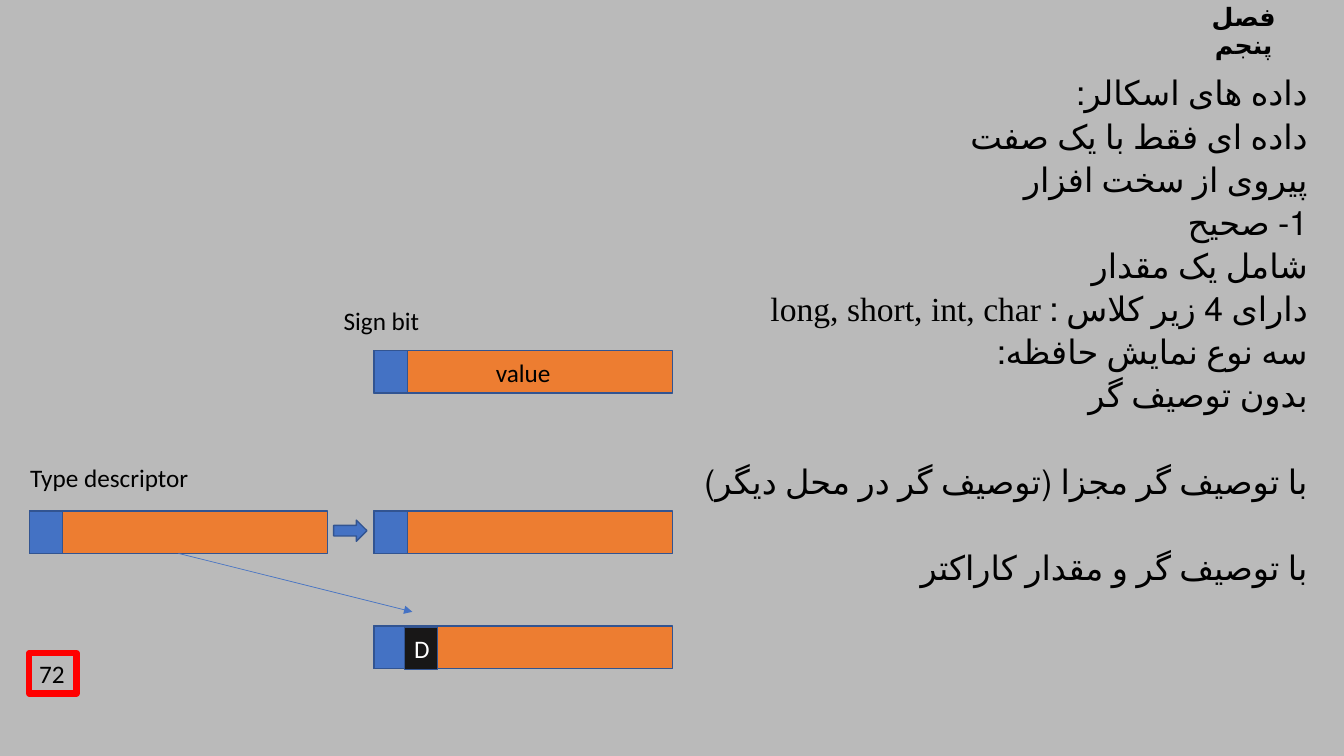
from pptx import Presentation
from pptx.dml.color import RGBColor
from pptx.enum.lang import MSO_LANGUAGE_ID as LANG
from pptx.enum.shapes import MSO_CONNECTOR, MSO_SHAPE
from pptx.enum.text import MSO_ANCHOR, PP_ALIGN
from pptx.oxml.xmlchemy import OxmlElement
from pptx.util import Inches, Pt

COLORS = {
    "background": "BABABA", "black": "000000", "white": "FFFFFF", "red": "FF0000",
    "orange": "ED7D31", "blue": "4472C4", "outline": "325491", "dark": "181717",
}
LINES = [
    "داده های اسکالر:",
    "داده ای فقط با یک صفت",
    "پیروی از سخت افزار",
    "1- صحیح",
    "شامل یک مقدار",
    "دارای 4 زیر کلاس : long, short, int, char",
    "سه نوع نمایش حافظه:",
    "بدون توصیف گر",
    "با توصیف گر مجزا (توصیف گر در محل دیگر)",
    "با توصیف گر و مقدار کاراکتر",
]
SPACED_FROM = 8  # the last lines stand one blank line apart
CELL_W, CELL_H, SIGN_W = 2.96, 0.42, 0.33


def rgb(name):
    return RGBColor.from_string(COLORS[name])


def style(p, size=18, color="black", font="Calibri", bold=False,
          align=PP_ALIGN.LEFT, lang=LANG.ENGLISH_US):
    p.alignment = align
    for r in p.runs:
        r.font.size = Pt(size)
        r.font.name = font
        r.font.bold = bold
        r.font.color.rgb = rgb(color)
        r.font.language_id = lang


def add_label(s, text, x, y, w, h):
    tb = s.shapes.add_textbox(Inches(x), Inches(y), Inches(w), Inches(h))
    tf = tb.text_frame
    tf.word_wrap = True
    tf.text = text
    style(tf.paragraphs[0])
    return tb


def add_box(s, x, y, w, h, fill, text="", color="black", kind=MSO_SHAPE.RECTANGLE):
    sp = s.shapes.add_shape(kind, Inches(x), Inches(y), Inches(w), Inches(h))
    sp.shadow.inherit = False
    sp.fill.solid()
    sp.fill.fore_color.rgb = rgb(fill)
    sp.line.color.rgb = rgb("outline")
    sp.line.width = Pt(1)
    if text:
        tf = sp.text_frame
        tf.text = text
        tf.vertical_anchor = MSO_ANCHOR.MIDDLE
        style(tf.paragraphs[0], color=color, align=PP_ALIGN.CENTER)
    return sp


def add_memory_cell(s, x, y, text=""):
    """Orange value bar with a blue sign bit at its left end."""
    bar = add_box(s, x, y, CELL_W, CELL_H, "orange", text)
    add_box(s, x, y, SIGN_W, CELL_H, "blue")
    return bar


def add_pointer(s, bar, x, y):
    """Thin arrow from the bottom of a bar to a point."""
    line = s.shapes.add_connector(MSO_CONNECTOR.STRAIGHT, 0, 0, Inches(x), Inches(y))
    line.begin_connect(bar, 2)
    line.line.color.rgb = rgb("blue")
    line.line.width = Pt(0.5)
    tail = OxmlElement("a:tailEnd")
    tail.set("type", "triangle")
    line.line._get_or_add_ln().append(tail)
    line._element.spPr.append(OxmlElement("a:effectLst"))


def add_chapter(s, x, y, w, h):
    tf = add_label(s, "فصل پنجم", x, y, w, h).text_frame
    tf.vertical_anchor = MSO_ANCHOR.BOTTOM
    p = tf.paragraphs[0]
    style(p, bold=True, align=PP_ALIGN.CENTER, lang=LANG.FARSI)
    p.line_spacing = 0.9


def add_body(s, x, y, w, h):
    tf = add_label(s, "\n".join(LINES), x, y, w, h).text_frame
    for i, p in enumerate(tf.paragraphs):
        style(p, 24, font="Times New Roman", align=PP_ALIGN.RIGHT, lang=LANG.FARSI)
        p.line_spacing = 1.07
        if i >= SPACED_FROM:
            p.space_before = Pt(31)
        p._p.get_or_add_pPr().set("rtl", "1")


def add_page_number(s, x, y, w, h):
    tb = add_label(s, "72", x, y, w, h)
    tb.text_frame.word_wrap = False
    tb.line.color.rgb = rgb("red")
    tb.line.width = Pt(4.5)


def add_diagram(s, x, y):
    """Three memory layouts, with the type descriptor at the left."""
    right = x + 3.42
    separate, tagged = y + 1.59, y + 2.73
    add_memory_cell(s, right, y, "value")
    add_memory_cell(s, right, separate)
    descriptor = add_memory_cell(s, x, separate)
    add_memory_cell(s, right, tagged)
    add_box(s, right + 0.3, tagged + 0.01, SIGN_W, CELL_H, "dark", "D", "white")
    add_box(s, x + 3.02, separate + 0.09, 0.33, 0.21, "blue", kind=MSO_SHAPE.RIGHT_ARROW)
    add_label(s, "Type descriptor", x - 0.09, separate - 0.53, 1.98, 0.71)
    add_label(s, "Sign bit", right - 0.4, y - 0.5, 1.98, 0.71)
    add_pointer(s, descriptor, right + 0.38, tagged - 0.14)


def main():
    prs = Presentation()
    prs.slide_width, prs.slide_height = Inches(13.33), Inches(7.5)
    s = prs.slides.add_slide(prs.slide_layouts[6])
    s.background.fill.solid()
    s.background.fill.fore_color.rgb = rgb("background")
    add_chapter(s, 11.6, 0.23, 1.47, 0.41)
    add_body(s, 0.29, 0.64, 12.78, 6.86)
    add_page_number(s, 0.29, 6.48, 0.47, 0.4)
    add_diagram(s, 0.29, 3.48)
    prs.save("out.pptx")


if __name__ == "__main__":
    main()
